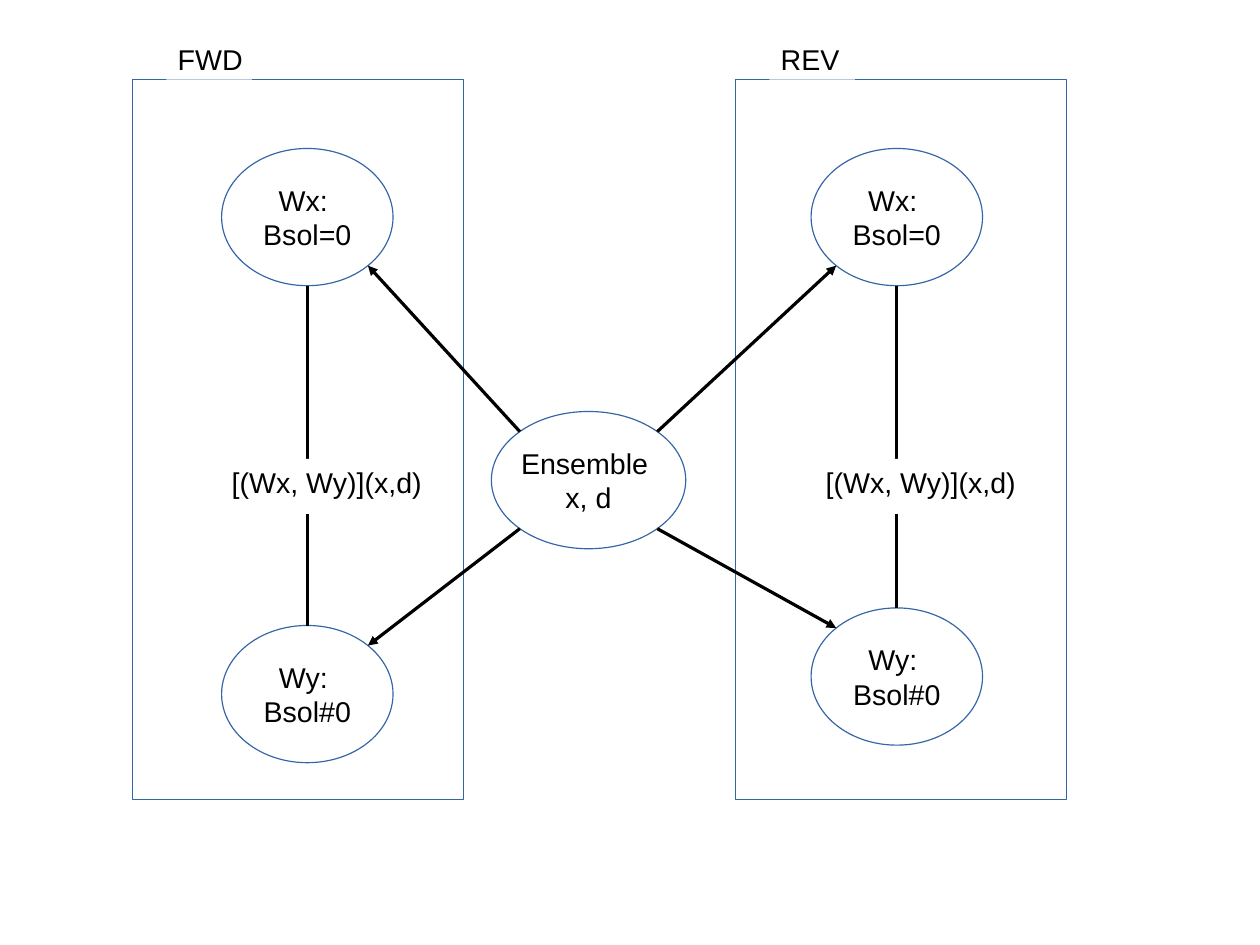
from dataclasses import dataclass
from math import sqrt

from lxml.etree import SubElement
from pptx import Presentation
from pptx.dml.color import RGBColor
from pptx.enum.shapes import MSO_CONNECTOR, MSO_SHAPE
from pptx.enum.text import MSO_ANCHOR, PP_ALIGN
from pptx.oxml.ns import qn
from pptx.util import Cm, Pt


@dataclass(frozen=True)
class Theme:
    outline: RGBColor = RGBColor(0x34, 0x65, 0xA4)
    ink: RGBColor = RGBColor(0, 0, 0)
    paper: RGBColor = RGBColor(255, 255, 255)
    font: str = "Arial"
    size: Pt = Pt(18)
    hairline: Pt = Pt(0)


THEME = Theme()

prs = Presentation()
prs.slide_width, prs.slide_height = Cm(28), Cm(21)
slide = prs.slides.add_slide(prs.slide_layouts[6])


def add_block(kind, left, top, width, height, text="", align=PP_ALIGN.CENTER,
              anchor=MSO_ANCHOR.MIDDLE, outlined=True):
    """Add an outlined hollow shape, or a borderless white one; lengths in cm."""
    block = slide.shapes.add_shape(kind, Cm(left), Cm(top), Cm(width), Cm(height))
    block.shadow.inherit = False
    if outlined:
        block.fill.background()
        block.line.color.rgb = THEME.outline
        block.line.width = THEME.hairline
    else:
        block.fill.solid()
        block.fill.fore_color.rgb = THEME.paper
        block.line.fill.background()
    frame = block.text_frame
    frame.word_wrap = False
    frame.vertical_anchor = anchor
    frame.text = text
    for paragraph in frame.paragraphs:
        paragraph.alignment = align
        for run in paragraph.runs:
            run.font.name = THEME.font
            run.font.size = THEME.size
            run.font.color.rgb = THEME.ink


def add_link(x1, y1, x2, y2, arrow=False):
    link = slide.shapes.add_connector(MSO_CONNECTOR.STRAIGHT, Cm(x1), Cm(y1), Cm(x2), Cm(y2))
    link.line.color.rgb = THEME.ink
    link.line.width = THEME.hairline
    properties = link._element.spPr
    if arrow:
        SubElement(properties.find(qn("a:ln")), qn("a:tailEnd"), type="triangle")
    SubElement(properties, qn("a:effectLst"))


ensemble_x, ensemble_y = 13.08, 10.67
ensemble_width, state_width, oval_height = 4.32, 3.81, 3.05
wx_top = 3.3
panel_top, panel_width, panel_height = 1.77, 7.37, 16
diagonal = sqrt(0.5) / 2  # share of an oval's size from its centre to its 45° point

add_block(MSO_SHAPE.OVAL, ensemble_x - ensemble_width / 2, ensemble_y - oval_height / 2,
          ensemble_width, oval_height, "Ensemble \nx, d")

# direction, panel left, state centre x, Wy top, relation left, side of the ensemble
directions = [
    ("FWD", 2.94, 6.83, 13.9, 4.9, -1),
    ("REV", 16.34, 19.93, 13.51, 18.1, 1),
]
for direction, panel_left, state_x, wy_top, relation_left, side in directions:
    add_block(MSO_SHAPE.RECTANGLE, panel_left, panel_top, panel_width, panel_height)
    add_block(MSO_SHAPE.RECTANGLE, panel_left + 0.76, 0.81, 1.9, 0.96, direction,
              PP_ALIGN.LEFT, MSO_ANCHOR.TOP, outlined=False)

    states = [("Wx: \nBsol=0", wx_top, -1), ("Wy: \nBsol#0", wy_top, 1)]
    for state, top, vertical in states:
        add_block(MSO_SHAPE.OVAL, state_x - state_width / 2, top,
                  state_width, oval_height, state)
        add_link(ensemble_x + side * ensemble_width * diagonal,
                 ensemble_y + vertical * oval_height * diagonal,
                 state_x - side * state_width * diagonal,
                 top + oval_height / 2 - vertical * oval_height * diagonal, arrow=True)

    add_link(state_x, wx_top + oval_height, state_x, wy_top)
    add_block(MSO_SHAPE.RECTANGLE, relation_left, 10.2, 4.72, 1.22, "[(Wx, Wy)](x,d)",
              PP_ALIGN.LEFT, MSO_ANCHOR.TOP, outlined=False)

prs.save("out.pptx")
